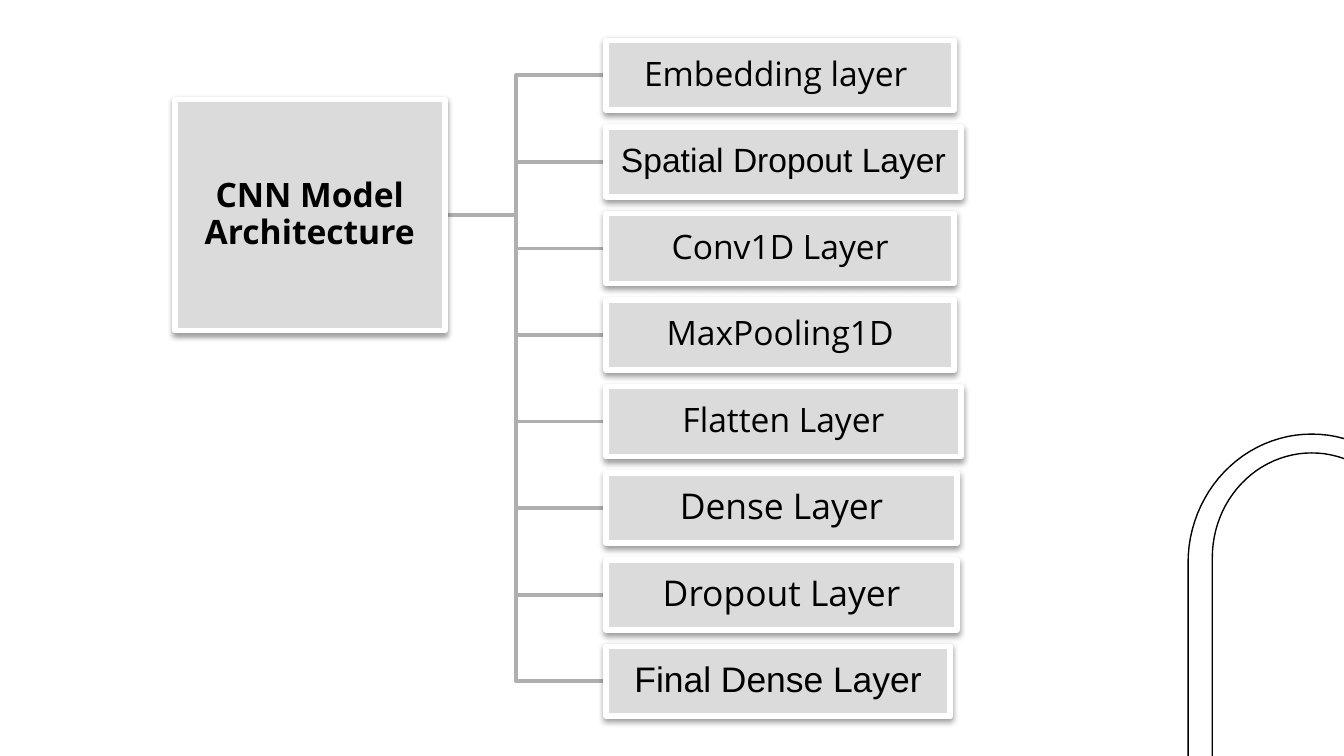
from math import cos, pi, sin

from lxml.etree import SubElement
from pptx import Presentation
from pptx.dml.color import RGBColor
from pptx.enum.shapes import MSO_SHAPE as Shape
from pptx.enum.text import MSO_ANCHOR as Anchor, PP_ALIGN as Align
from pptx.oxml.ns import qn
from pptx.util import Inches, Pt

BLACK = RGBColor(0x00, 0x00, 0x00)
WHITE = RGBColor(0xFF, 0xFF, 0xFF)
BOX_GREY = RGBColor(0xDB, 0xDB, 0xDB)
BRANCH_GREY = RGBColor(0xAF, 0xAF, 0xAF)

SLIDE_WIDTH = Inches(10)
SLIDE_HEIGHT = SLIDE_WIDTH * 9 // 16
LAYERS = [
    ("Embedding layer ", 2.59, 18, "Open Sans"),
    ("Spatial Dropout Layer", 2.64, 18, "Arial"),
    ("Conv1D Layer", 2.59, 18, "Open Sans"),
    ("MaxPooling1D", 2.59, 18, "Open Sans"),
    ("Flatten Layer", 2.64, 18, "Open Sans"),
    ("Dense Layer", 2.61, 19, "Open Sans"),
    ("Dropout Layer", 2.61, 19, "Open Sans"),
    ("Final Dense Layer", 2.56, 19, "Arial"),
]
LAYER_LEFT = 4.51
LAYER_HEIGHT = 0.52
FIRST_TOP, LAST_TOP = 0.3, 4.81
LAYER_STEP = (LAST_TOP - FIRST_TOP) / (len(LAYERS) - 1)
ROOT_X, TRUNK_X, ROOT_Y = 3.17, 3.84, 1.6
ARCH_CENTER = 9.76
ARCH_BOTTOM = 7.75
CURVE_STEPS = 48


def set_values(target, values):
    for name, value in values.items():
        setattr(target, name, value)


def add_soft_shadow(shape):
    effects = SubElement(shape._element.spPr, qn("a:effectLst"))
    shadow = SubElement(effects, qn("a:outerShdw"), {
        "blurRad": str(Pt(3.1)), "dist": str(Pt(1.6)),
        "dir": "5400000", "rotWithShape": "0"})
    color = SubElement(shadow, qn("a:srgbClr"), val="000000")
    SubElement(color, qn("a:alpha"), val="38000")


def add_box(slide, text, area, size, font_name, bold=False):
    box = slide.shapes.add_shape(Shape.RECTANGLE, *map(Inches, area))
    box.fill.solid()
    box.fill.fore_color.rgb = BOX_GREY
    box.line.color.rgb = WHITE
    box.line.width = Pt(3)
    add_soft_shadow(box)
    frame = box.text_frame
    margins = ("margin_left", "margin_top", "margin_right", "margin_bottom")
    set_values(frame, dict.fromkeys(margins, Inches(0.01)))
    set_values(frame, {"word_wrap": True, "vertical_anchor": Anchor.MIDDLE})
    para = frame.paragraphs[0]
    set_values(para, {"alignment": Align.CENTER, "line_spacing": 0.9})
    span = para.add_run()
    span.text = text
    set_values(span.font, {"size": Pt(size), "name": font_name, "bold": bold})
    span.font.color.rgb = BLACK


def add_outline(slide, points, color, width):
    start, *rest = [(Inches(x), Inches(y)) for x, y in points]
    builder = slide.shapes.build_freeform(*start)
    builder.add_line_segments(rest, close=False)
    outline = builder.convert_to_shape()
    outline.shadow.inherit = False
    outline.fill.background()
    outline.line.color.rgb = color
    outline.line.width = Pt(width)


def add_branch(slide, layer_y):
    points = [(ROOT_X, ROOT_Y), (TRUNK_X, ROOT_Y),
              (TRUNK_X, layer_y), (LAYER_LEFT, layer_y)]
    add_outline(slide, points, BRANCH_GREY, 2)


def add_arch(slide, radius_x, top, spring_y, right_end):
    angles = [pi * step / CURVE_STEPS for step in range(CURVE_STEPS + 1)]
    curve = [(ARCH_CENTER - radius_x * cos(angle),
              spring_y - (spring_y - top) * sin(angle)) for angle in angles]
    points = [(ARCH_CENTER - radius_x, ARCH_BOTTOM), *curve,
              (ARCH_CENTER + radius_x, right_end)]
    add_outline(slide, points, BLACK, 0.75)


def main():
    deck = Presentation()
    set_values(deck, {"slide_width": SLIDE_WIDTH, "slide_height": SLIDE_HEIGHT})
    slide = deck.slides.add_slide(deck.slide_layouts[6])
    tops = [FIRST_TOP + index * LAYER_STEP for index in range(len(LAYERS))]
    for top in reversed(tops):
        add_branch(slide, top + LAYER_HEIGHT / 2)
    add_box(slide, "CNN Model Architecture", (1.3, 0.74, 2.01, 1.72),
            18, "Open Sans", bold=True)
    for top, (text, width, size, font_name) in zip(tops, LAYERS):
        area = (LAYER_LEFT, top, width, LAYER_HEIGHT)
        add_box(slide, text, area, size, font_name)
    add_arch(slide, 0.92, 3.23, 4.19, 5.74)
    add_arch(slide, 0.74, 3.37, 4.15, 5.72)
    deck.save("out.pptx")


if __name__ == "__main__":
    main()
